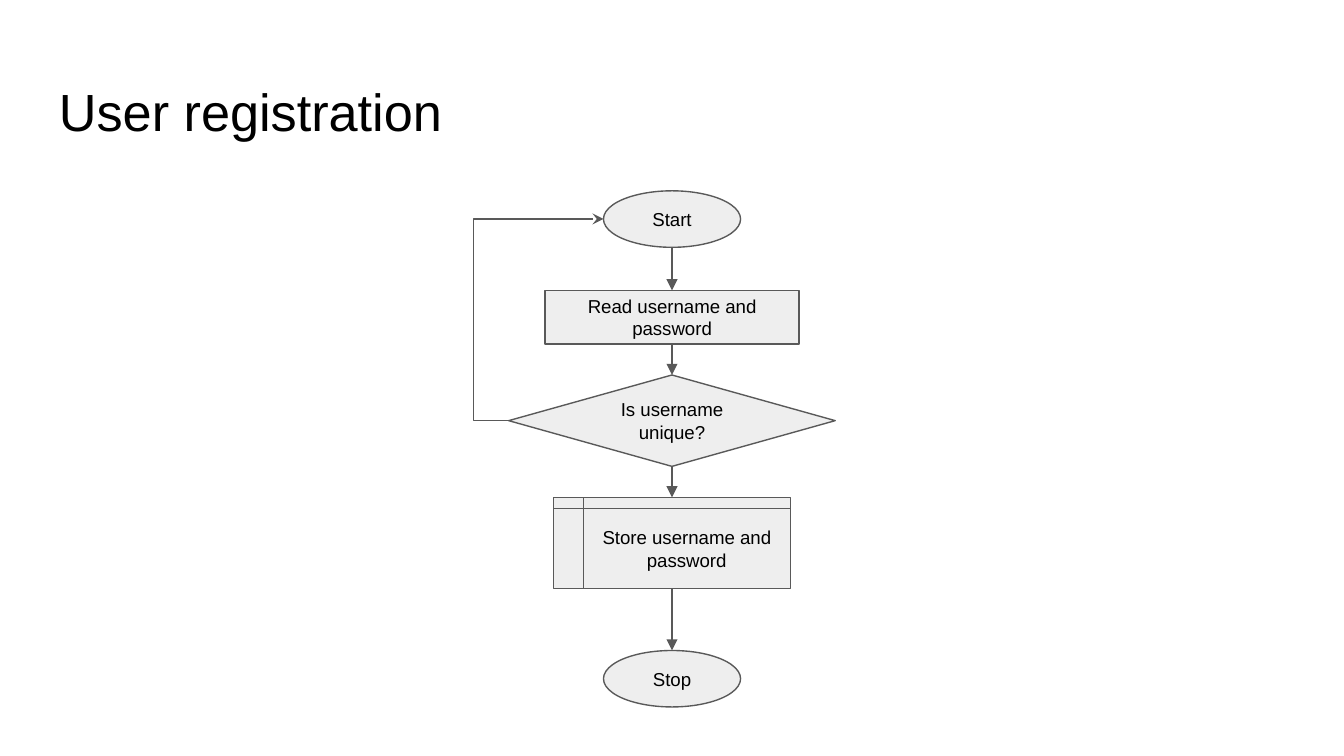
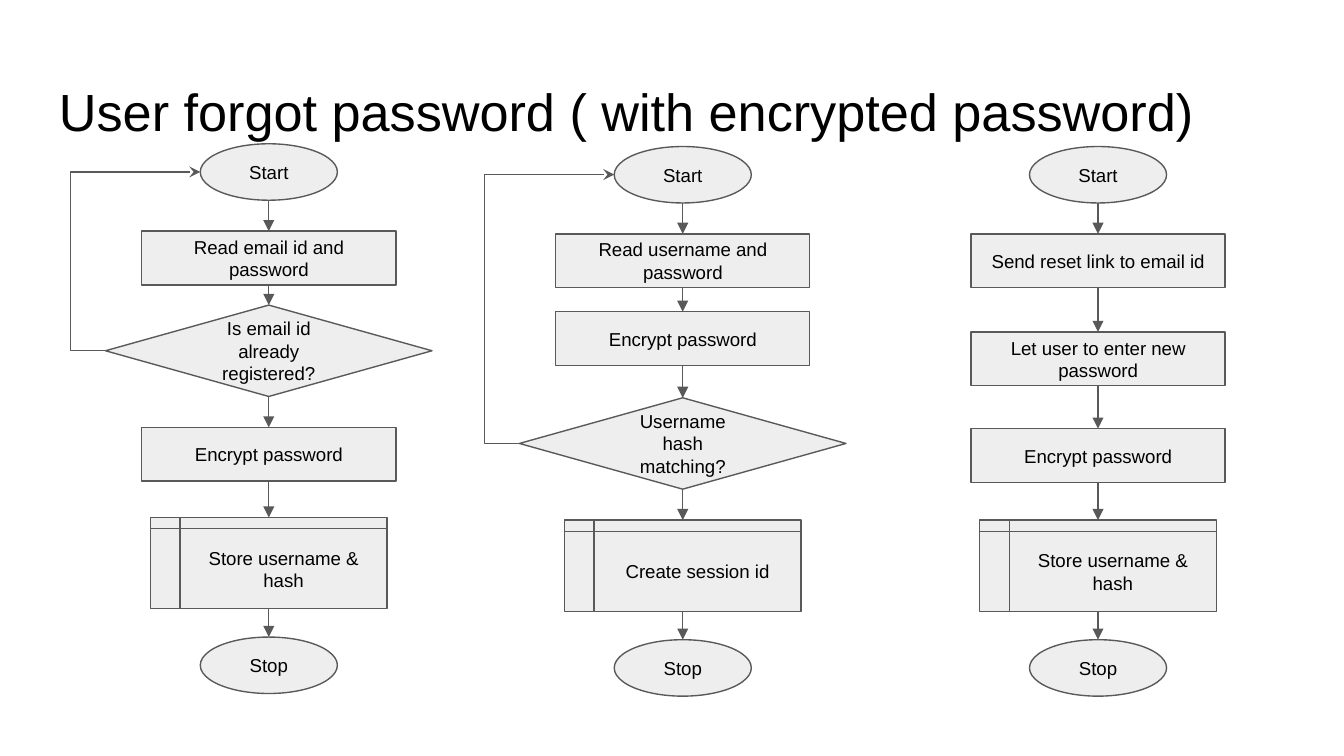
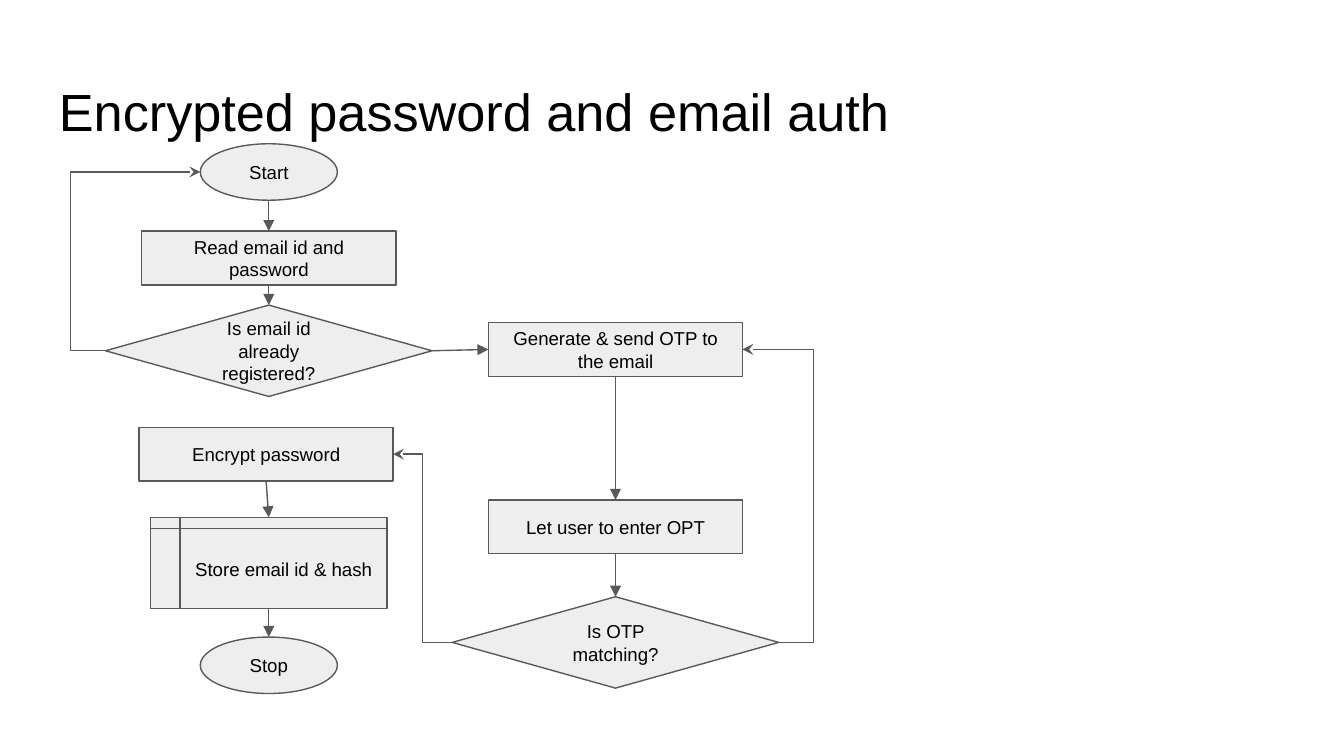
from dataclasses import dataclass

from lxml import etree
from pptx import Presentation
from pptx import util as u
from pptx.dml.color import RGBColor
from pptx.enum import shapes, text
from pptx.oxml import ns

EMU_PER_PX = 9144  # 100 px to the inch
PAGE_WIDTH = 1000
INSET = 10
LOOP_GAP = 26


@dataclass(frozen=True)
class Theme:
    font: str = "Arial"
    ink: str = "000000"
    fill: str = "EEEEEE"
    line: str = "595959"
    title_size: int = 28
    node_size: int = 10
    line_width: float = 0.75


THEME = Theme()

# kind: preset shape, width, height
NODE_KINDS = {
    "terminal": (shapes.MSO_SHAPE.FLOWCHART_CONNECTOR, 102, 42),
    "process": (shapes.MSO_SHAPE.FLOWCHART_PROCESS, 189, 40),
    "decision": (shapes.MSO_SHAPE.FLOWCHART_DECISION, 243, 68),
    "storage": (shapes.MSO_SHAPE.FLOWCHART_INTERNAL_STORAGE, 176, 68),
}


@dataclass(frozen=True)
class Node:
    """Outline of a drawn step; its sides are the points that arrows meet."""
    center: int
    top_edge: int
    width: int
    height: int

    @property
    def top(self):
        return self.center, self.top_edge

    @property
    def bottom(self):
        return self.center, self.top_edge + self.height

    @property
    def left(self):
        return self.center - self.width / 2, self.top_edge + self.height / 2

    @property
    def right(self):
        return self.center + self.width / 2, self.top_edge + self.height / 2


def px(length):
    return u.Emu(round(length * EMU_PER_PX))


def rgb(code):
    return RGBColor.from_string(code)


def write_text(box, words, *, size, align=text.PP_ALIGN.LEFT,
               anchor=text.MSO_ANCHOR.TOP):
    """Fill a shape with one paragraph for each line of words."""
    frame = box.text_frame
    frame.word_wrap = True
    frame.vertical_anchor = anchor
    frame.margin_left = frame.margin_right = px(INSET)
    frame.margin_top = frame.margin_bottom = px(INSET)
    frame.text = words
    for para in frame.paragraphs:
        para.alignment = align
        for span in para.runs:
            span.font.name = THEME.font
            span.font.size = u.Pt(size)
            span.font.color.rgb = rgb(THEME.ink)


def style_line(line):
    line.color.rgb = rgb(THEME.line)
    line.width = u.Pt(THEME.line_width)


def add_page(deck, title):
    page = deck.slides.add_slide(deck.slide_layouts[6])
    box = page.shapes.add_textbox(px(34), px(49), px(932), px(63))
    write_text(box, title, size=THEME.title_size)
    return page


def add_node(page, center, kind, words, top):
    preset, width, height = NODE_KINDS[kind]
    box = page.shapes.add_shape(
        preset, px(center - width / 2), px(top), px(width), px(height))
    box.shadow.inherit = False
    box.fill.solid()
    box.fill.fore_color.rgb = rgb(THEME.fill)
    style_line(box.line)
    write_text(box, words, size=THEME.node_size, align=text.PP_ALIGN.CENTER,
               anchor=text.MSO_ANCHOR.MIDDLE)
    return Node(center, top, width, height)


def add_arrow(page, start, end, *, head="triangle",
              route=shapes.MSO_CONNECTOR.STRAIGHT):
    arrow = page.shapes.add_connector(route, *map(px, (*start, *end)))
    style_line(arrow.line)
    properties = arrow._element.spPr
    outline = properties.find(ns.qn("a:ln"))
    etree.SubElement(outline, ns.qn("a:tailEnd"), type=head)
    etree.SubElement(properties, ns.qn("a:effectLst"))
    return arrow


def add_elbow(page, start, end, turn):
    """Draw a bent arrow whose upright part stands at x = turn."""
    arrow = add_arrow(page, start, end, head="stealth",
                      route=shapes.MSO_CONNECTOR.ELBOW)
    share = round((turn - start[0]) / (end[0] - start[0]) * 100000)
    geometry = arrow._element.spPr.find(ns.qn("a:prstGeom"))
    guides = geometry.find(ns.qn("a:avLst"))
    etree.SubElement(guides, ns.qn("a:gd"), name="adj1", fmla=f"val {share}")


def add_retry(page, decision, start):
    add_elbow(page, decision.left, start.left, decision.left[0] - LOOP_GAP)


def add_flow(page, center, steps):
    """Stack (kind, words, top) steps, joined by arrows; return their nodes."""
    nodes = [add_node(page, center, *step) for step in steps]
    for upper, lower in zip(nodes, nodes[1:]):
        add_arrow(page, upper.bottom, lower.top)
    return nodes


EMAIL_CHECK = [
    ("terminal", "Start", 107),
    ("process", "Read email id and password", 172),
    ("decision", "Is email id already registered?", 227),
]


def build_registration(deck):
    page = add_page(deck, "User registration")
    start, _, unique, *_ = add_flow(page, 500, [
        ("terminal", "Start", 142),
        ("process", "Read username and password", 216),
        ("decision", "Is username unique?", 279),
        ("storage", "Store username and password", 370),
        ("terminal", "Stop", 484),
    ])
    add_retry(page, unique, start)


def build_forgot_password(deck):
    page = add_page(deck, "User forgot password ( with encrypted password)")
    start, _, registered, *_ = add_flow(page, 200, EMAIL_CHECK + [
        ("process", "Encrypt password", 318),
        ("storage", "Store username & hash", 385),
        ("terminal", "Stop", 474),
    ])
    add_retry(page, registered, start)

    start, _, _, matching, *_ = add_flow(page, 508, [
        ("terminal", "Start", 109),
        ("process", "Read username and password", 174),
        ("process", "Encrypt password", 232),
        ("decision", "Username\nhash\nmatching?", 296),
        ("storage", "Create session id", 387),
        ("terminal", "Stop", 476),
    ])
    add_retry(page, matching, start)

    add_flow(page, 817, [
        ("terminal", "Start", 109),
        ("process", "Send reset link to email id", 174),
        ("process", "Let user to enter new password", 247),
        ("process", "Encrypt password", 319),
        ("storage", "Store username & hash", 387),
        ("terminal", "Stop", 476),
    ])


def build_email_auth(deck):
    page = add_page(deck, "Encrypted password and email auth")
    start, _, registered = add_flow(page, 200, EMAIL_CHECK)
    add_retry(page, registered, start)

    send, _, matching = add_flow(page, 458, [
        ("process", "Generate & send OTP to the email", 240),
        ("process", "Let user to enter OPT", 372),
        ("decision", "Is OTP matching?", 444),
    ])
    add_arrow(page, registered.right, send.left)
    add_elbow(page, matching.right, send.right, matching.right[0] + LOOP_GAP)

    encrypt = add_node(page, 198, "process", "Encrypt password", 318)
    store, _ = add_flow(page, 200, [
        ("storage", "Store email id & hash", 385),
        ("terminal", "Stop", 474),
    ])
    add_arrow(page, encrypt.bottom, store.top)
    halfway = (matching.left[0] + encrypt.right[0]) / 2
    add_elbow(page, matching.left, encrypt.right, halfway)


def main():
    deck = Presentation()
    deck.slide_width = px(PAGE_WIDTH)
    deck.slide_height = px(PAGE_WIDTH * 9 / 16)
    build_registration(deck)
    build_forgot_password(deck)
    build_email_auth(deck)
    deck.save("out.pptx")


if __name__ == "__main__":
    main()
